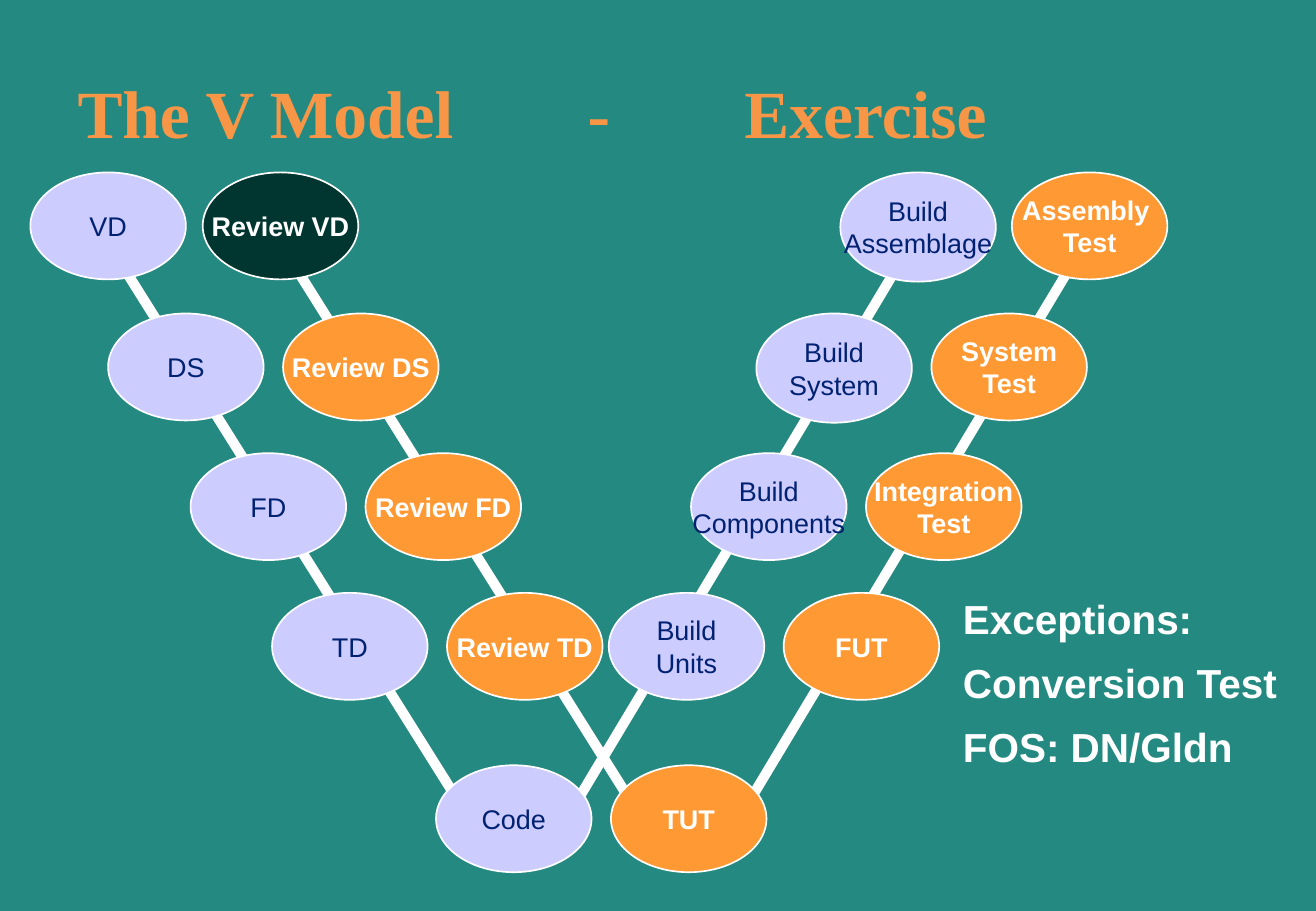
from dataclasses import dataclass
from typing import Any

from lxml.etree import SubElement
from pptx import Presentation
from pptx.dml.color import RGBColor
from pptx.enum.shapes import MSO_CONNECTOR as Connector, MSO_SHAPE as Preset
from pptx.enum.text import MSO_ANCHOR as Anchor, MSO_AUTO_SIZE as AutoSize, PP_ALIGN as Align
from pptx.oxml.ns import qn
from pptx.slide import Slide
from pptx.text.text import TextFrame
from pptx.util import Pt

COLORS = {
    "background": "248980",
    "title": "F79646",
    "white": "FFFFFF",
    "build": "CCCCFF",
    "build text": "012171",
    "check": "FF9933",
    "highlight": "003530",
}
PAGE_WIDTH, PAGE_HEIGHT = 780.2, 540
ROW_TOPS = (102.2, 185.8, 268.6, 351.4, 453.6)
OVAL_WIDTH = 92.2
TITLE_TABS = (302.4, 395.4)

TITLE_FONT = {"name": "Times New Roman", "size": Pt(40), "bold": True}
BUILD_FONT = {"name": "Arial", "size": Pt(16), "bold": False}
CHECK_FONT = {"name": "Arial", "size": Pt(16), "bold": True}
NOTE_FONT = {"name": "Arial", "size": Pt(24), "bold": True}
OVAL_FRAME = {"word_wrap": False, "vertical_anchor": Anchor.MIDDLE}
TITLE_FRAME = {"word_wrap": True, "vertical_anchor": Anchor.MIDDLE}
NOTE_FRAME = {"word_wrap": True, "auto_size": AutoSize.SHAPE_TO_FIT_TEXT}


@dataclass(frozen=True)
class Oval:
    label: str
    left: float
    row: int
    fill: str = ""
    height: float = 63.4


@dataclass(frozen=True)
class Leg:
    start: tuple[float, float]
    end: tuple[float, float]


@dataclass(frozen=True)
class Vee:
    fill: str
    text_color: str
    font: dict[str, Any]
    legs: tuple[Leg, ...]
    ovals: tuple[Oval, ...]


VEES = (
    Vee(
        "build", "build text", BUILD_FONT,
        (Leg((64.1, 144), (280.1, 488.2)), Leg((537.1, 149.8), (334.1, 488.2))),
        (
            Oval("VD", 18, 0),
            Oval("DS", 64.1, 1),
            Oval("FD", 113, 2),
            Oval("TD", 161.3, 3),
            Oval("Code", 258.5, 4),
            Oval("Build\nUnits", 360.9, 3),
            Oval("Build\nComponents", 409.7, 2),
            Oval("Build\nSystem", 448.4, 1, height=64.8),
            Oval("Build\nAssemblage", 498.2, 0, height=64.8),
        ),
    ),
    Vee(
        "check", "white", CHECK_FONT,
        (Leg((158.4, 131.8), (382.3, 488.2)), Leg((635.8, 156.2), (436.3, 488.2))),
        (
            Oval("Review VD", 120.2, 0, "highlight"),
            Oval("Review DS", 167.8, 1),
            Oval("Review FD", 216.7, 2),
            Oval("Review TD", 265, 3),
            Oval("TUT", 362.2, 4),
            Oval("FUT", 464.6, 3),
            Oval("Integration\nTest", 513.4, 2),
            Oval("System\nTest", 552.2, 1),
            Oval("Assembly \nTest", 599.9, 0),
        ),
    ),
)


def rgb(name: str) -> RGBColor:
    return RGBColor.from_string(COLORS[name])


def set_all(target: Any, values: dict[str, Any]) -> None:
    for key, value in values.items():
        setattr(target, key, value)


def write(frame: TextFrame, text: str, font: dict[str, Any], color: str,
          align: Align = Align.LEFT, spacing: dict[str, Any] | None = None) -> None:
    """Fill the frame, one paragraph per line; only later ones get space before."""
    for index, line in enumerate(text.split("\n")):
        para = frame.add_paragraph() if index else frame.paragraphs[0]
        para.alignment = align
        set_all(para, spacing or {})
        if not index:
            para.space_before = Pt(0)
        span = para.add_run()
        span.text = line
        set_all(span.font, font)
        span.font.color.rgb = rgb(color)


def draw_leg(page: Slide, leg: Leg) -> None:
    ends = [Pt(value) for value in (*leg.start, *leg.end)]
    line = page.shapes.add_connector(Connector.STRAIGHT, *ends)
    line.line.color.rgb = rgb("white")
    line.line.width = Pt(6)
    SubElement(line._element.spPr, qn("a:effectLst"))


def draw_oval(page: Slide, oval: Oval, vee: Vee) -> None:
    shape = page.shapes.add_shape(
        Preset.OVAL, Pt(oval.left), Pt(ROW_TOPS[oval.row]), Pt(OVAL_WIDTH), Pt(oval.height))
    shape.shadow.inherit = False
    shape.fill.solid()
    shape.fill.fore_color.rgb = rgb(oval.fill or vee.fill)
    shape.line.color.rgb = rgb("white")
    shape.line.width = Pt(1)
    set_all(shape.text_frame, OVAL_FRAME)
    write(shape.text_frame, oval.label, vee.font, vee.text_color, Align.CENTER)


def draw_title(page: Slide) -> None:
    box = page.shapes.add_textbox(Pt(38.9), Pt(41.8), Pt(663), Pt(48.2))
    set_all(box.text_frame, TITLE_FRAME)
    properties = box.text_frame.paragraphs[0]._p.get_or_add_pPr()
    tabs = SubElement(properties, qn("a:tabLst"))
    for position in TITLE_TABS:
        SubElement(tabs, qn("a:tab"), pos=str(Pt(position)), algn="l")
    write(box.text_frame, "The V Model\t-\tExercise", TITLE_FONT, "title")


def draw_exceptions(page: Slide) -> None:
    box = page.shapes.add_textbox(Pt(563.8), Pt(354.2), Pt(216), Pt(106.6))
    set_all(box.text_frame, NOTE_FRAME)
    write(box.text_frame, "Exceptions:\nConversion Test\nFOS: DN/Gldn", NOTE_FONT, "white",
          spacing={"line_spacing": 0.8, "space_before": Pt(15)})


def main() -> None:
    deck = Presentation()
    deck.slide_width, deck.slide_height = Pt(PAGE_WIDTH), Pt(PAGE_HEIGHT)
    page = deck.slides.add_slide(deck.slide_layouts[6])
    page.background.fill.solid()
    page.background.fill.fore_color.rgb = rgb("background")
    draw_title(page)
    for vee in VEES:
        for leg in vee.legs:
            draw_leg(page, leg)
        for oval in vee.ovals:
            draw_oval(page, oval, vee)
    draw_exceptions(page)
    deck.save("out.pptx")


if __name__ == "__main__":
    main()
